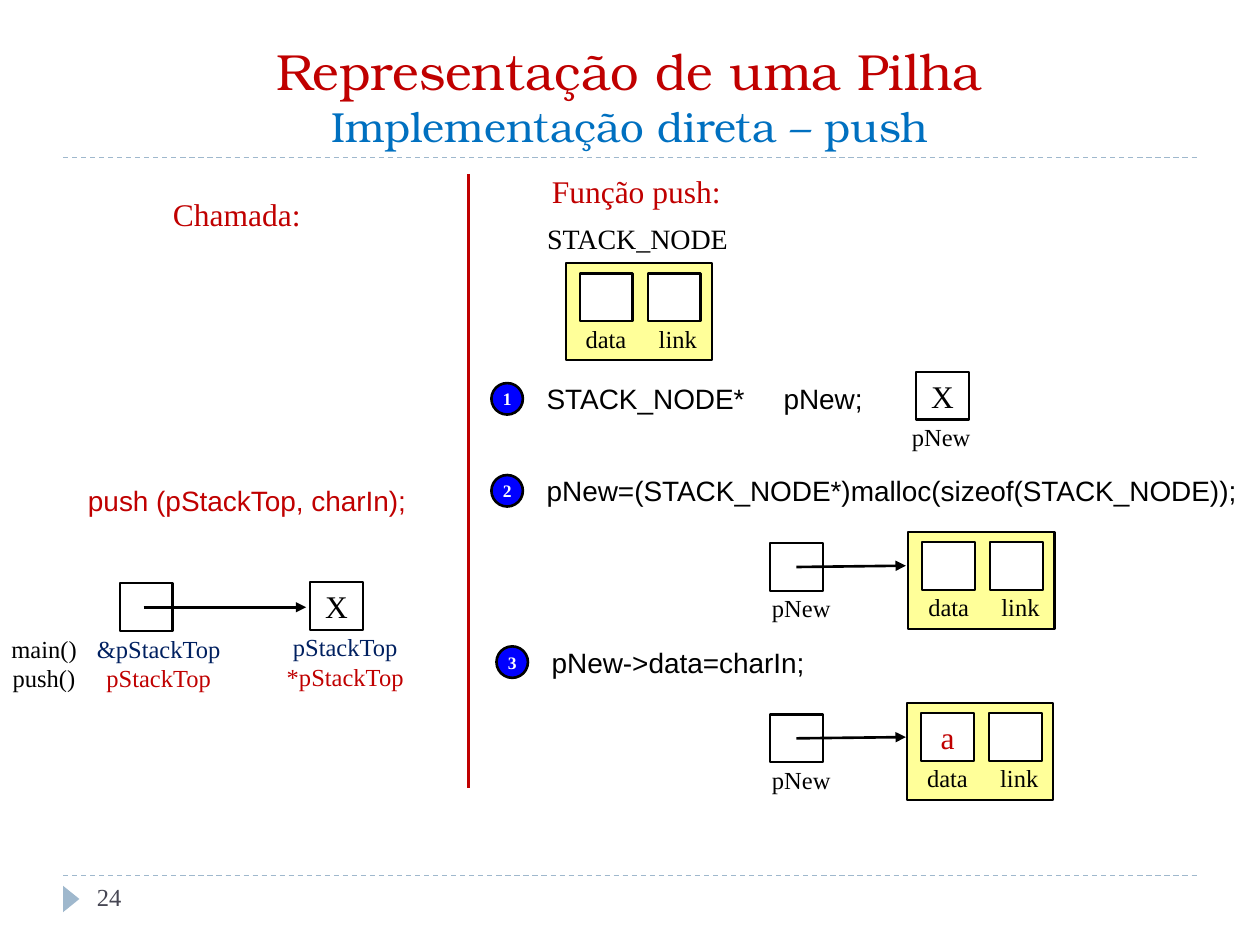
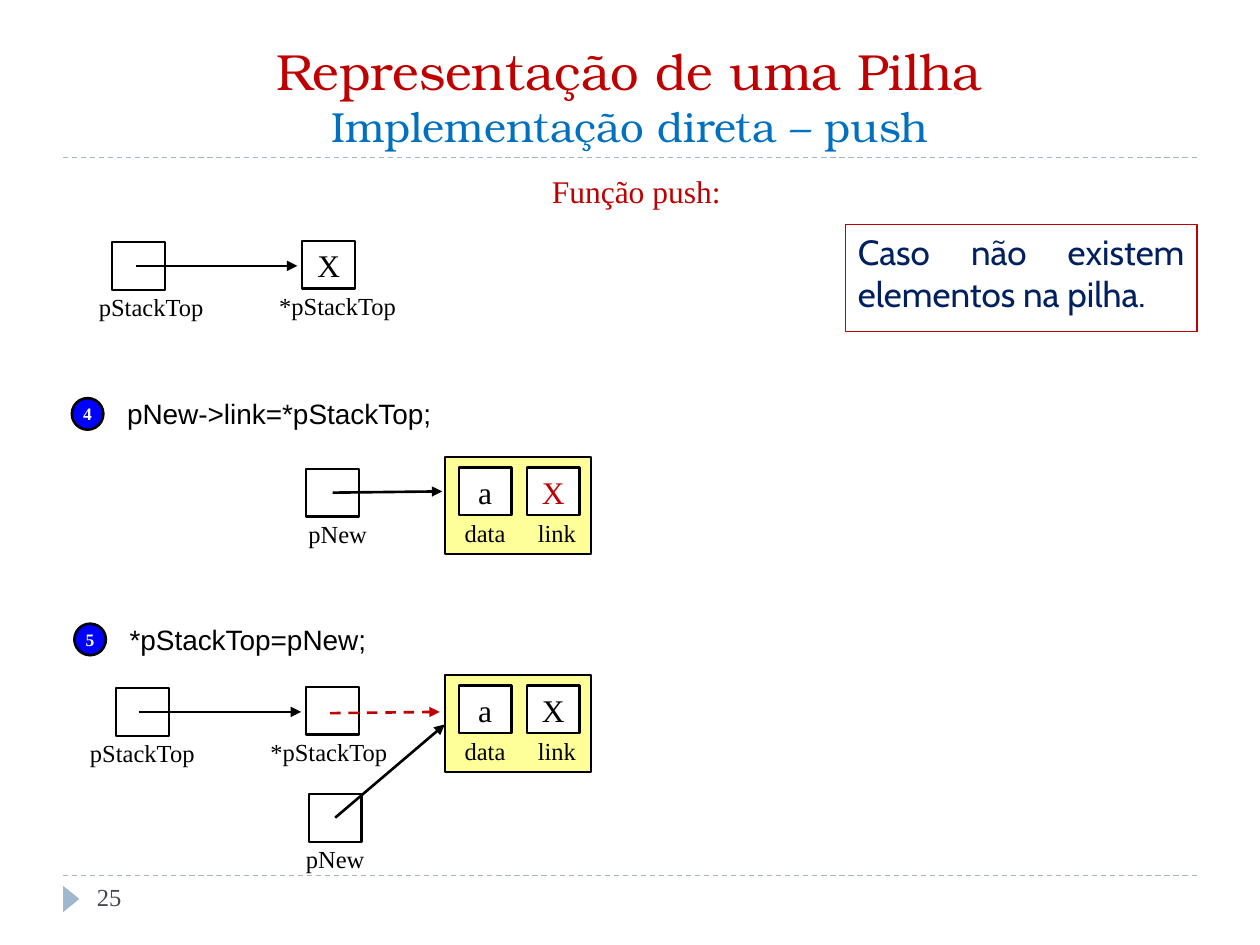
from lxml import etree
from pptx import Presentation
from pptx.dml.color import RGBColor
from pptx.enum.dml import MSO_LINE_DASH_STYLE as DASH
from pptx.enum.shapes import MSO_CONNECTOR, MSO_SHAPE as SHAPE
from pptx.enum.text import MSO_ANCHOR as ANCHOR, MSO_AUTO_SIZE as FIT, PP_ALIGN as ALIGN
from pptx.oxml.ns import qn
from pptx.util import Inches, Pt

RED = RGBColor(0xC0, 0x00, 0x00)
SKY = RGBColor(0x00, 0x70, 0xC0)
NAVY = RGBColor(0x00, 0x20, 0x60)
BLUE = RGBColor(0x00, 0x00, 0xFF)
YELLOW = RGBColor(0xFF, 0xFF, 0x99)
STEEL = RGBColor(0x9F, 0xB8, 0xCD)
SLATE = RGBColor(0x46, 0x46, 0x53)
BLACK = RGBColor(0x00, 0x00, 0x00)
WHITE = RGBColor(0xFF, 0xFF, 0xFF)

SERIF, SANS, DISPLAY, NOTE = "Times New Roman", "Arial", "TeX Gyre Bonum", "Cabin"
TITLE = (("Representação de uma Pilha", 29, RED), ("Implementação direta – push", 24, SKY))
FUNCTION_HEADING = (5.05, 1.32, "Função push:")
CELL_W, CELL_H, BADGE = 0.42, 0.38, 0.25
NODE_W, NODE_H = 1.16, 0.77
FIELDS = (("data", 0.11, 0.32), ("link", 0.65, 0.89))
TAB_STOP = 1.88
NO_VALUE = ("", BLACK)

SLIDES = [
    {
        "number": 24,
        "headings": [(1.88, 1.5, "Chamada:"), FUNCTION_HEADING],
        "nodes": [(4.49, 2.09, NO_VALUE, NO_VALUE), (7.21, 4.22, NO_VALUE, NO_VALUE),
                  (7.2, 5.58, ("a", RED), NO_VALUE)],
        "cells": [
            (7.27, 2.95, "X", 7.47, [("pNew", BLACK)]),
            (6.11, 4.31, "", 6.36, [("pNew", BLACK)]),
            (6.11, 5.67, "", 6.36, [("pNew", BLACK)]),
            (2.46, 4.62, "X", 2.74, [("pStackTop", NAVY), ("*pStackTop", RED)]),
            (0.95, 4.63, "", 1.26, [("&pStackTop", NAVY), ("pStackTop", RED)]),
        ],
        "labels": [(5.06, 1.71, 16, [("STACK_NODE", BLACK)]),
                   (0.35, 4.98, 14, [("main()", BLACK), ("push()", BLACK)])],
        "calls": [(0.6, 3.79, 2.8, "push (pStackTop, charIn);")],
        "steps": [(1, 4.24, 2.98, 2.82, "STACK_NODE*\tpNew;"),
                  (2, 4.24, 3.71, 5.74, "pNew=(STACK_NODE*)malloc(sizeof(STACK_NODE));"),
                  (3, 4.28, 5.07, 2.3, "pNew->data=charIn;")],
        "arrows": [(6.32, 4.5, 7.19, 4.49), (6.32, 5.86, 7.19, 5.85), (1.14, 4.82, 2.43, 4.82)],
        "dashed_arrows": [],
        "dividers": [(3.72, 1.38, 3.72, 6.25)],
        "notes": [],
    },
    {
        "number": 25,
        "headings": [FUNCTION_HEADING],
        "nodes": [(3.53, 3.63, ("a", BLACK), ("X", RED)),
                  (3.53, 5.36, ("a", BLACK), ("X", BLACK))],
        "cells": [
            (2.4, 1.91, "X", 2.68, [("*pStackTop", BLACK)]),
            (0.89, 1.92, "", 1.2, [("pStackTop", BLACK)]),
            (2.43, 3.72, "", 2.68, [("pNew", BLACK)]),
            (2.43, 5.45, "", 2.61, [("*pStackTop", BLACK)]),
            (0.92, 5.46, "", 1.13, [("pStackTop", BLACK)]),
            (2.45, 6.3, "", 2.66, [("pNew", BLACK)]),
        ],
        "labels": [],
        "calls": [],
        "steps": [(4, 0.91, 3.1, 2.91, "pNew->link=*pStackTop;"),
                  (5, 0.93, 4.89, 2.91, "*pStackTop=pNew;")],
        "arrows": [(1.08, 2.11, 2.36, 2.11), (2.64, 3.91, 3.51, 3.9),
                   (1.1, 5.65, 2.39, 5.65), (2.66, 6.49, 3.53, 5.75)],
        "dashed_arrows": [(2.62, 5.66, 3.49, 5.65)],
        "dividers": [],
        "notes": [(6.71, 1.78, 2.79, 0.85, "Caso não existem elementos na pilha.")],
    },
]


def style(item, size, font, color, bold=False):
    item.font.size, item.font.name, item.font.bold = Pt(size), font, bold
    item.font.color.rgb = color


def write(tf, lines, size, font=SERIF, align=ALIGN.CENTER, bold=False, wrap=False):
    tf.word_wrap = wrap
    tf.text = "\n".join(text for text, _ in lines)
    for p, (_, color) in zip(tf.paragraphs, lines):
        p.alignment = align
        for r in p.runs:
            style(r, size, font, color, bold)


def add_text(s, x, y, w, lines, size, **options):
    h = 0.1 + len(lines) * size / 60
    sp = s.shapes.add_textbox(Inches(x), Inches(y), Inches(w), Inches(h))
    write(sp.text_frame, lines, size, **options)
    return sp


def add_centered(s, center, y, lines, size):
    w = 0.2 + max(len(text) for text, _ in lines) * size / 100
    add_text(s, center - w / 2, y, w, lines, size)


def add_box(s, x, y, w, h, fill, line=BLACK, width=1.25, kind=SHAPE.RECTANGLE):
    sp = s.shapes.add_shape(kind, Inches(x), Inches(y), Inches(w), Inches(h))
    sp.shadow.inherit = False
    if fill is None:
        sp.fill.background()
    else:
        sp.fill.solid()
        sp.fill.fore_color.rgb = fill
    if line is None:
        sp.line.fill.background()
    else:
        sp.line.color.rgb = line
        sp.line.width = Pt(width)
    return sp


def add_line(s, ends, color=BLACK, width=1.5, dashed=False, arrow=False):
    c = s.shapes.add_connector(MSO_CONNECTOR.STRAIGHT, *map(Inches, ends))
    c.line.color.rgb = color
    c.line.width = Pt(width)
    if dashed:
        c.line.dash_style = DASH.DASH
    if arrow:
        ln = c._element.spPr.find(qn("a:ln"))
        etree.SubElement(ln, qn("a:tailEnd"), type="triangle")
    etree.SubElement(c._element.spPr, qn("a:effectLst"))


def add_cell(s, x, y, value, color=BLACK):
    sp = add_box(s, x, y, CELL_W, CELL_H, WHITE)
    if value:
        write(sp.text_frame, [(value, color)], 18)


def add_node(s, x, y, *values):
    add_box(s, x, y, NODE_W, NODE_H, YELLOW)
    for (name, dx, center), value in zip(FIELDS, values):
        add_cell(s, x + dx, y + 0.08, *value)
        add_centered(s, x + center, y + 0.43, [(name, BLACK)], 14)


def add_code(s, x, y, w, text, color=BLACK):
    sp = add_text(s, x, y, w, [(text, color)], 16, font=SANS, align=ALIGN.LEFT)
    if "\t" in text:
        pPr = sp.text_frame.paragraphs[0]._p.get_or_add_pPr()
        tabs = etree.SubElement(pPr, qn("a:tabLst"))
        etree.SubElement(tabs, qn("a:tab"), pos=str(Inches(TAB_STOP)), algn="l")


def add_step(s, number, x, y, w, code):
    add_code(s, x, y, w, code)
    sp = add_box(s, x - 0.34, y + 0.06, BADGE, BADGE, BLUE, width=1.5, kind=SHAPE.OVAL)
    write(sp.text_frame, [(str(number), WHITE)], 10, bold=True)


def add_frame(s, number):
    for y in (6.95, 1.25):
        add_line(s, (0.5, y, 9.5, y), STEEL, 0.75, dashed=True)
    marker = add_box(s, 0.46, 7.07, 0.21, 0.13, STEEL, None, kind=SHAPE.ISOSCELES_TRIANGLE)
    marker.rotation = 90
    add_text(s, 0.67, 6.95, 2.17, [(str(number), SLATE)], 14, align=ALIGN.LEFT)
    title = s.shapes.title
    title.left, title.top, title.width, title.height = map(Inches, (0.5, 0.25, 9, 1))
    tf = title.text_frame
    tf.auto_size, tf.vertical_anchor = FIT.NONE, ANCHOR.BOTTOM
    p = tf.paragraphs[0]
    p.text = "\v".join(text for text, _, _ in TITLE)
    p.alignment = ALIGN.CENTER
    for r, (_, size, color) in zip(p.runs, TITLE):
        style(r, size, DISPLAY, color)


def add_slide(prs, content):
    s = prs.slides.add_slide(prs.slide_layouts[5])
    add_frame(s, content["number"])
    for center, y, text in content["headings"]:
        add_centered(s, center, y, [(text, RED)], 18)
    for ends in content["dividers"]:
        add_line(s, ends, RED)
    for node in content["nodes"]:
        add_node(s, *node)
    for x, y, value, center, lines in content["cells"]:
        add_cell(s, x, y, value)
        add_centered(s, center, y + 0.35, lines, 14)
    for center, y, size, lines in content["labels"]:
        add_centered(s, center, y, lines, size)
    for call in content["calls"]:
        add_code(s, *call, RED)
    for step in content["steps"]:
        add_step(s, *step)
    for ends in content["arrows"]:
        add_line(s, ends, arrow=True)
    for ends in content["dashed_arrows"]:
        add_line(s, ends, RED, dashed=True, arrow=True)
    for x, y, w, h, text in content["notes"]:
        tf = add_box(s, x, y, w, h, None, RED, 0.75).text_frame
        tf.vertical_anchor = ANCHOR.TOP
        write(tf, [(text, NAVY)], 20, font=NOTE, align=ALIGN.JUSTIFY, wrap=True)


def main():
    """Build the two slides on pushing onto a linked stack."""
    prs = Presentation()
    prs.slide_width, prs.slide_height = Inches(10), Inches(7.5)
    for content in SLIDES:
        add_slide(prs, content)
    prs.save("out.pptx")


if __name__ == "__main__":
    main()
